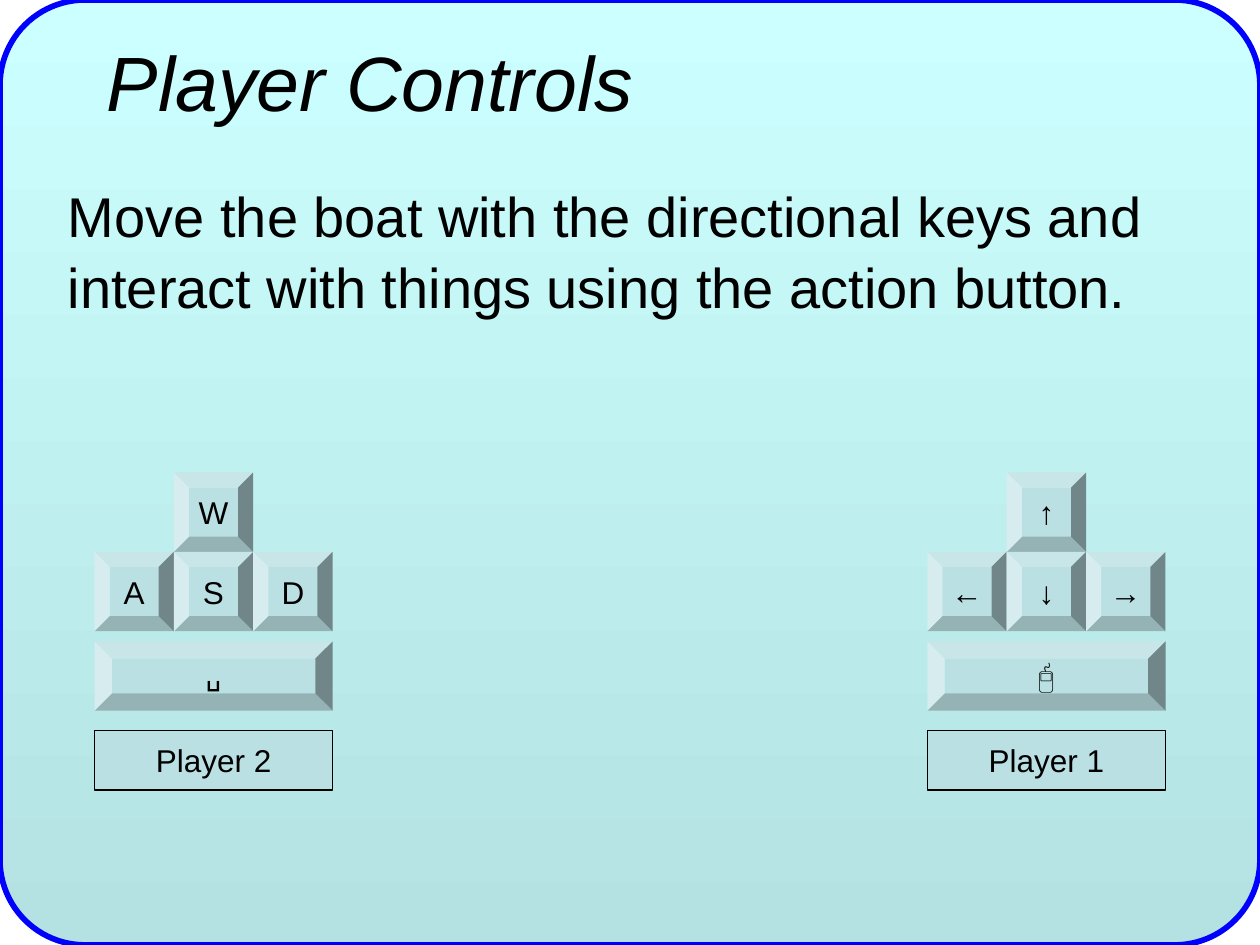
from pptx import Presentation
from pptx.dml.color import RGBColor
from pptx.enum import shapes, text
from pptx.util import Inches, Pt

COLORS = {"sky": "CCFFFF", "sea": "B4E2E2", "border": "0000FF",
          "key": "BBE0E3", "ink": "000000"}
TITLE = "Player Controls"
INTRO = ("Move the boat with the directional keys and interact with things "
         "using the action button.")
# left edge, (up, left, down, right), (action, its font), player name
PLAYERS = [
    (0.75, ("W", "A", "S", "D"), ("␣", "Arial"), "Player 2"),
    (7.36, ("↑", "←", "↓", "→"), ("🖯", "Cabin"), "Player 1"),
]
KEY = 0.63
KEY_CELLS = [(1, 0), (0, 1), (1, 1), (2, 1)]  # column, row
KEYS_TOP, BAR_TOP, NAME_TOP = 3.75, 5.09, 5.8
BAR_HEIGHT, NAME_HEIGHT = 0.55, 0.47

prs = Presentation()
prs.slide_width, prs.slide_height = Inches(10), Inches(7.5)
slide = prs.slides.add_slide(prs.slide_layouts[6])


def color(name):
    return RGBColor.from_string(COLORS[name])


def write(sp, words, size, font="Arial", wrap=True):
    tf = sp.text_frame
    tf.word_wrap = wrap
    p = tf.paragraphs[0]
    p.text = words
    p.font.size, p.font.name = Pt(size), font
    p.font.color.rgb = color("ink")
    return p


def add_shape(kind, left, top, width, height):
    sp = slide.shapes.add_shape(kind, *map(Inches, (left, top, width, height)))
    sp.shadow.inherit = False
    return sp


def add_label(kind, box, words, font="Arial"):
    sp = add_shape(kind, *box)
    sp.fill.solid()
    sp.fill.fore_color.rgb = color("key")
    sp.text_frame.vertical_anchor = text.MSO_ANCHOR.MIDDLE
    write(sp, words, 18, font, wrap=False).alignment = text.PP_ALIGN.CENTER
    return sp


def add_key(box, words, bevel, font="Arial"):
    sp = add_label(shapes.MSO_SHAPE.BEVEL, box, words, font)
    sp.adjustments[0] = bevel
    sp.line.fill.background()


# Backdrop
panel = add_shape(shapes.MSO_SHAPE.ROUNDED_RECTANGLE, 0, 0, 10, 7.5)
panel.adjustments[0] = 0.09
panel.fill.gradient()
panel.fill.gradient_angle = 270
for stop, name, position in zip(panel.fill.gradient_stops, ("sky", "sea"), (0, 1)):
    stop.color.rgb = color(name)
    stop.position = position
panel.line.color.rgb = color("border")
panel.line.width = Pt(3.25)

# Title and introduction
title = slide.shapes.add_textbox(*map(Inches, (0.75, 0.21, 8.5, 0.86)))
title.text_frame.vertical_anchor = text.MSO_ANCHOR.MIDDLE
write(title, TITLE, 44).font.italic = True

intro = slide.shapes.add_textbox(*map(Inches, (0.44, 1.36, 9.05, 2.31)))
p = write(intro, INTRO, 32)
p.space_before = Pt(8)
p.line_spacing = 1.06

# Keys and name for each player
for left, letters, (action, action_font), player in PLAYERS:
    for (col, row), letter in zip(KEY_CELLS, letters):
        add_key((left + col * KEY, KEYS_TOP + row * KEY, KEY, KEY), letter, 0.19)
    width = 3 * KEY
    add_key((left, BAR_TOP, width, BAR_HEIGHT), action, 0.25, action_font)
    name = add_label(shapes.MSO_SHAPE.RECTANGLE,
                     (left, NAME_TOP, width, NAME_HEIGHT), player)
    name.line.color.rgb = color("ink")
    name.line.width = Pt(0.75)

prs.save("out.pptx")
